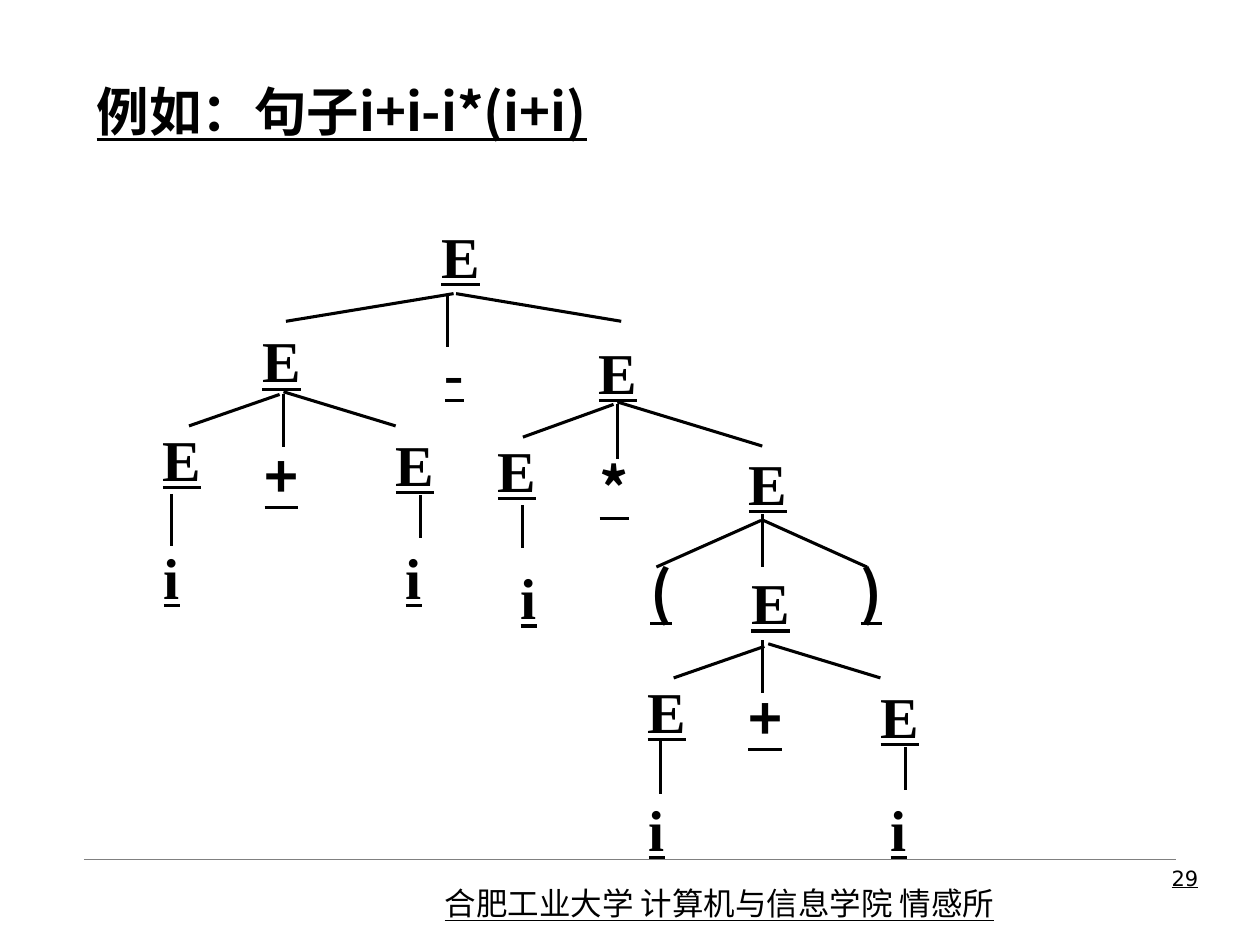
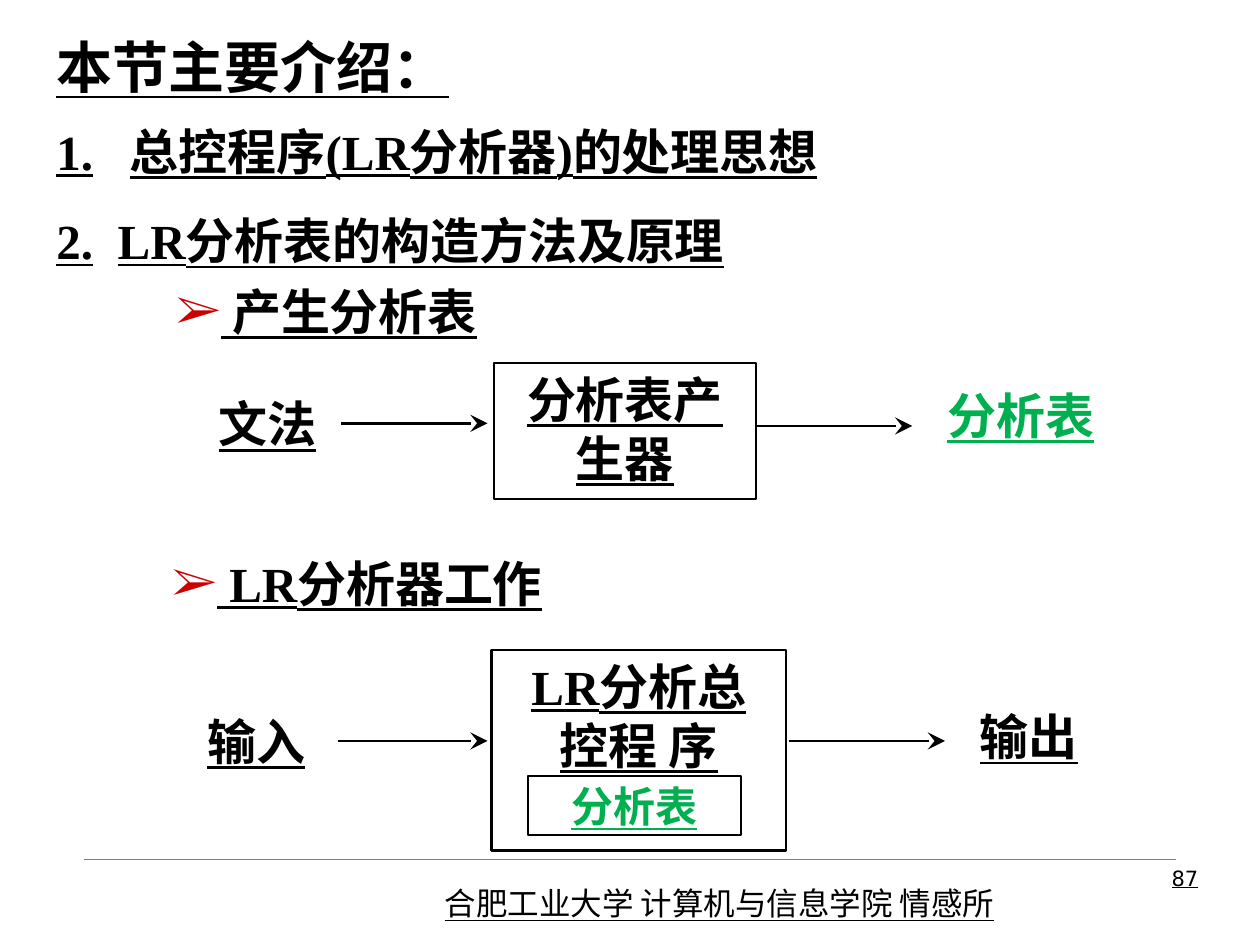
"""Build two compiler-course slides: a parse tree and an LR parser overview."""
from lxml import etree
from pptx import Presentation
from pptx.dml.color import RGBColor
from pptx.enum.shapes import MSO_CONNECTOR, MSO_SHAPE
from pptx.enum.text import MSO_ANCHOR, PP_ALIGN
from pptx.oxml.ns import qn
from pptx.util import Pt

STRAIGHT = MSO_CONNECTOR.STRAIGHT
RECT = MSO_SHAPE.RECTANGLE
TOP, MIDDLE = MSO_ANCHOR.TOP, MSO_ANCHOR.MIDDLE
LEFT, CENTER, RIGHT = PP_ALIGN.LEFT, PP_ALIGN.CENTER, PP_ALIGN.RIGHT

COLORS = {"ink": "000000", "table": "00B050", "bullet": "CC0000", "rule": "808080"}
SERIF, CJK, SANS = "Times New Roman", "Noto Sans CJK SC", "DejaVu Sans"
FOOTER = "合肥工业大学 计算机与信息学院 情感所"
SYMBOLS = {"E": (22.3, SERIF), "i": (9.4, SERIF), "-": (10.8, SERIF), "+": (18.7, CJK),
           "*": (18, CJK), "(": (11.5, CJK), ")": (11.5, CJK)}


def rgb(name):
    return RGBColor.from_string(COLORS[name])


def sub(parent, tag, **attrs):
    return etree.SubElement(parent, qn(tag), attrs)


def write(p, text, size=28, font=SERIF, color="ink", bold=True, align=LEFT,
          before=0, hang=0, bullet=None):
    pPr = p._p.get_or_add_pPr()
    if hang:
        pPr.set("marL", str(Pt(hang)))
        pPr.set("indent", str(-Pt(hang)))
    if bullet:
        sub(sub(pPr, "a:buClr"), "a:srgbClr", val=COLORS["bullet"])
        sub(pPr, "a:buFont", typeface=SERIF)
        sub(pPr, "a:buChar", char=bullet)
    p.alignment = align
    if before:
        p.space_before = Pt(before)
    r = p.add_run()
    r.text = text
    r.font.size, r.font.name = Pt(size), font
    r.font.bold, r.font.underline = bold, True
    r.font.color.rgb = rgb(color)
    sub(r._r.get_or_add_rPr(), "a:ea", typeface=CJK)


class Deck:
    """Slide style together with the slide being drawn."""

    def __init__(self):
        self.prs = Presentation()
        self.prs.slide_width, self.prs.slide_height = Pt(720), Pt(540)
        self.s = None

    def slide(self, number):
        self.s = self.prs.slides.add_slide(self.prs.slide_layouts[6])
        self.line(48, 491, 672, 491, color="rule", width=0.25)
        self.text(FOOTER, 247, 501.8, 345.6, 28.8, size=18, font=CJK, bold=False)
        self.text(str(number), 535.7, 491, 156.2, 37.4, size=12, font=SANS,
                  bold=False, align=RIGHT)

    def frame(self, sp, wrap=True, anchor=TOP, inset=True):
        tf = sp.text_frame
        tf.word_wrap, tf.vertical_anchor = wrap, anchor
        if not inset:
            tf.margin_left = tf.margin_right = tf.margin_top = tf.margin_bottom = 0
        return tf

    def text(self, text, x, y, w, h, wrap=True, anchor=TOP, inset=True, **fmt):
        sp = self.s.shapes.add_textbox(Pt(x), Pt(y), Pt(w), Pt(h))
        tf = self.frame(sp, wrap, anchor, inset)
        write(tf.paragraphs[0], text, **fmt)
        return tf

    def label(self, text, x, y, w, h, **fmt):
        self.text(text, x, y, w, h, wrap=False, anchor=MIDDLE, align=CENTER, **fmt)

    def box(self, text, x, y, w, h, wrap=True, anchor=TOP, **fmt):
        sp = self.s.shapes.add_shape(RECT, Pt(x), Pt(y), Pt(w), Pt(h))
        sp.shadow.inherit = False
        sp.fill.background()
        sp.line.color.rgb, sp.line.width = rgb("ink"), Pt(1.5)
        write(self.frame(sp, wrap, anchor).paragraphs[0], text, align=CENTER, **fmt)

    def line(self, x1, y1, x2, y2, color="ink", width=1.75, arrow=False):
        sp = self.s.shapes.add_connector(STRAIGHT, Pt(x1), Pt(y1), Pt(x2), Pt(y2))
        sp.line.color.rgb, sp.line.width = rgb(color), Pt(width)
        if arrow:
            sub(sp.line._get_or_add_ln(), "a:tailEnd", type="stealth", w="lg", len="lg")
        sub(sp._element.spPr, "a:effectLst")

    def arrow(self, x1, x2, y):
        self.line(x1, y, x2, y, width=1.5, arrow=True)

    def tree(self, nodes, edges, dx=0, dy=0):
        for x1, y1, x2, y2 in edges:
            self.line(x1 + dx, y1 + dy, x2 + dx, y2 + dy)
        for symbol, x, y in nodes:
            w, font = SYMBOLS[symbol]
            self.text(symbol, x + dx, y + dy, w, 39.6, wrap=False, inset=False,
                      size=33, font=font, align=CENTER)


def parse_tree(deck):
    deck.slide(29)
    deck.text("例如：句子i+i-i*(i+i)", 48.2, 41.8, 612, 59.8, size=30, font=CJK)
    nodes = [("E", 252, 126), ("-", 254.2, 192.2),
             ("E", 149.8, 185.8), ("+", 151.2, 252),
             ("E", 342, 192.2), ("*", 342, 258.5),
             ("E", 284.4, 248.4), ("i", 297.4, 321.1),
             ("E", 427.7, 255.6), ("(", 371.5, 318.2), (")", 491.8, 318.2),
             ("E", 429.1, 324), ("+", 427.7, 390.2)]
    edges = [(259.2, 167.8, 163.4, 183.6), (260.6, 167.8, 355, 183.6),
             (255.6, 167.8, 255.6, 198), (162, 225.4, 162, 255.6),
             (350.6, 231.1, 298.8, 249.8), (352.8, 229.7, 435.6, 254.9),
             (352.8, 231.1, 352.8, 262.1), (298.8, 288.7, 298.8, 313.2),
             (434.9, 297.4, 375.1, 324), (436.3, 297.4, 495.4, 324),
             (435.6, 293.8, 435.6, 324), (435.6, 365.8, 435.6, 396),
             (97.9, 282.2, 97.9, 311.8), (377.3, 423.4, 377.3, 453.6)]
    operands = [("E", 92.9, 241.9), ("i", 93.6, 309.6),
                ("E", 226.1, 244.8), ("i", 231.8, 309.6)]
    branches = [(159.8, 225.4, 108, 243.4), (162, 223.9, 226.1, 243.4),
                (240.5, 283, 240.5, 307.4)]
    deck.tree(nodes, edges)
    for dx, dy in ((0, 0), (277, 144)):
        deck.tree(operands, branches, dx, dy)


def lr_overview(deck):
    deck.slide(87)
    tf = deck.text("本节主要介绍：", 25.2, 15.1, 648, 128.9, size=32)
    for text, before, hang in (("1.\t总控程序(LR分析器)的处理思想", 12.1, 42),
                               ("2.\tLR分析表的构造方法及原理", 17.6, 35)):
        write(tf.add_paragraph(), text, before=before, hang=hang)

    deck.label(" 产生分析表", 66.5, 153.4, 240, 48.2, bullet="➢")
    deck.label("文法", 105.1, 218.2, 95.8, 47.5)
    deck.arrow(195.1, 278.6, 241.9)
    deck.box("分析表产生器", 282.2, 207.4, 149.8, 77.8)
    deck.arrow(432, 521.3, 243.4)
    deck.label("分析表", 528.5, 213.1, 109.4, 47.5, color="table")

    deck.label(" LR分析器工作", 64, 308.9, 280, 48.2, bullet="➢")
    deck.label("输入", 93.6, 399.6, 105.8, 47.5)
    deck.arrow(193, 278.6, 423.4)
    deck.box("LR分析总 控程 序", 280.8, 371.5, 168.5, 114.5)
    deck.box("分析表", 301.7, 443.5, 121.7, 33.8, wrap=False, anchor=MIDDLE,
             size=24, color="table")
    deck.arrow(450.7, 540, 423.4)
    deck.label("输出", 540, 399.6, 95.8, 41.8)


def main():
    deck = Deck()
    parse_tree(deck)
    lr_overview(deck)
    deck.prs.save("out.pptx")


if __name__ == "__main__":
    main()
